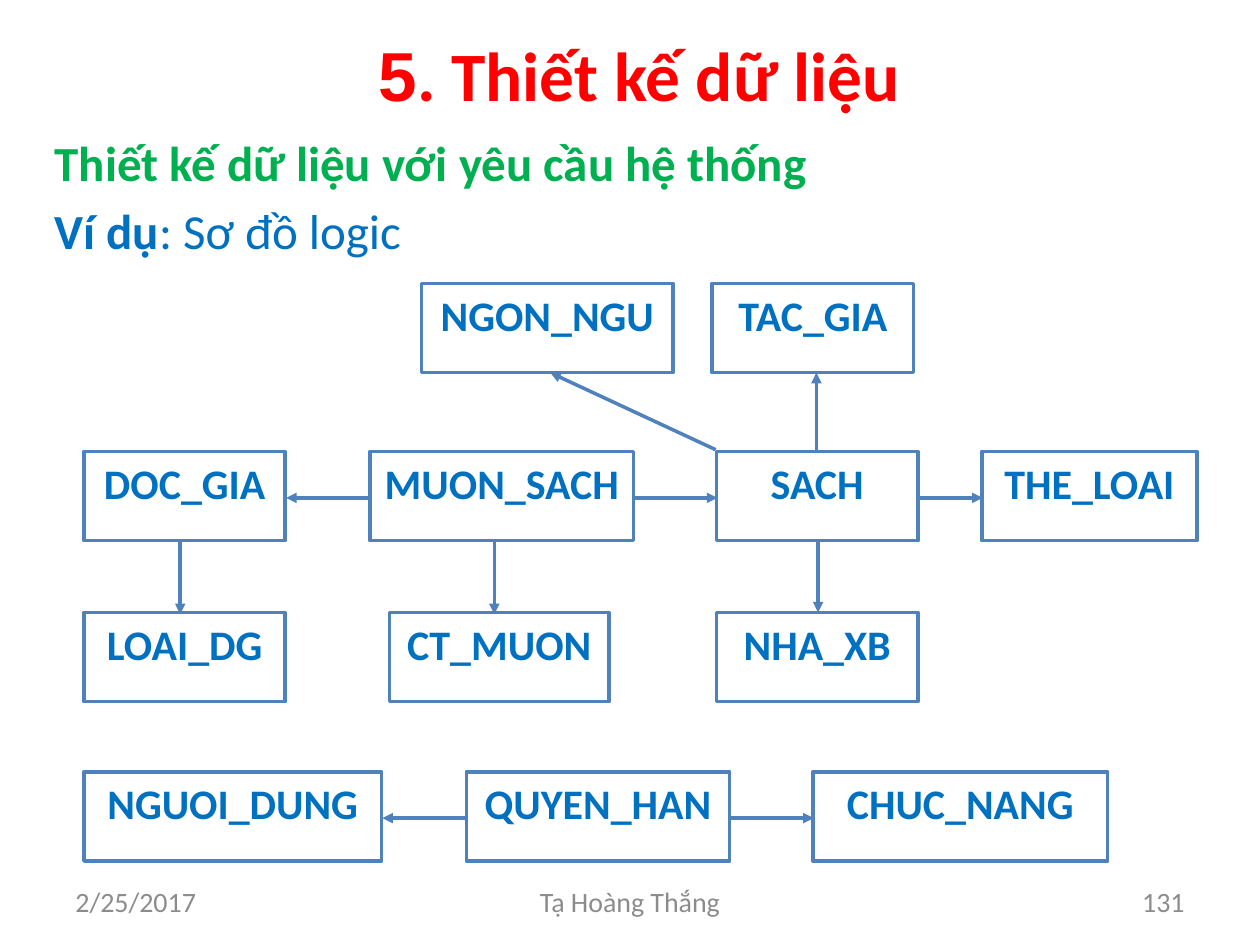
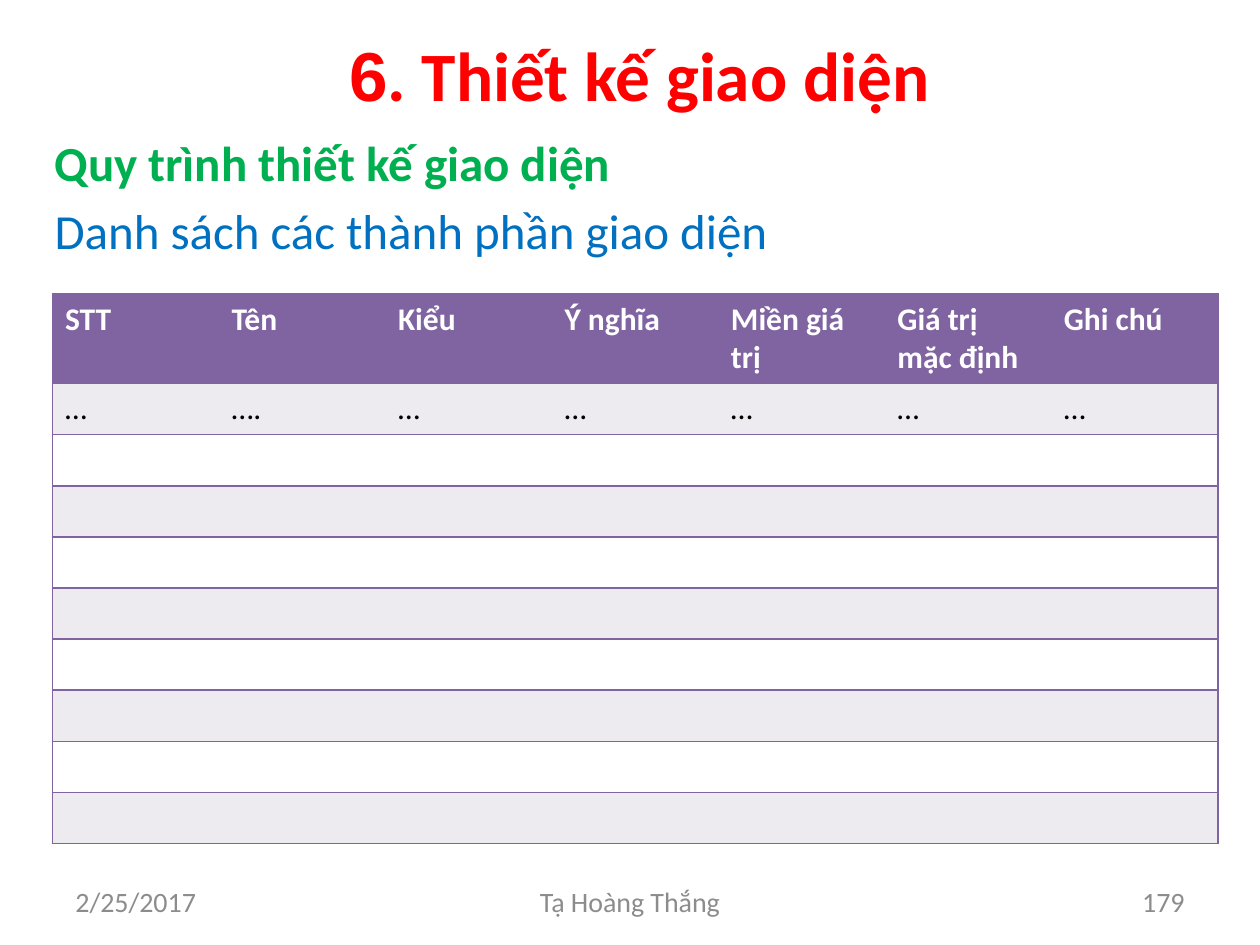
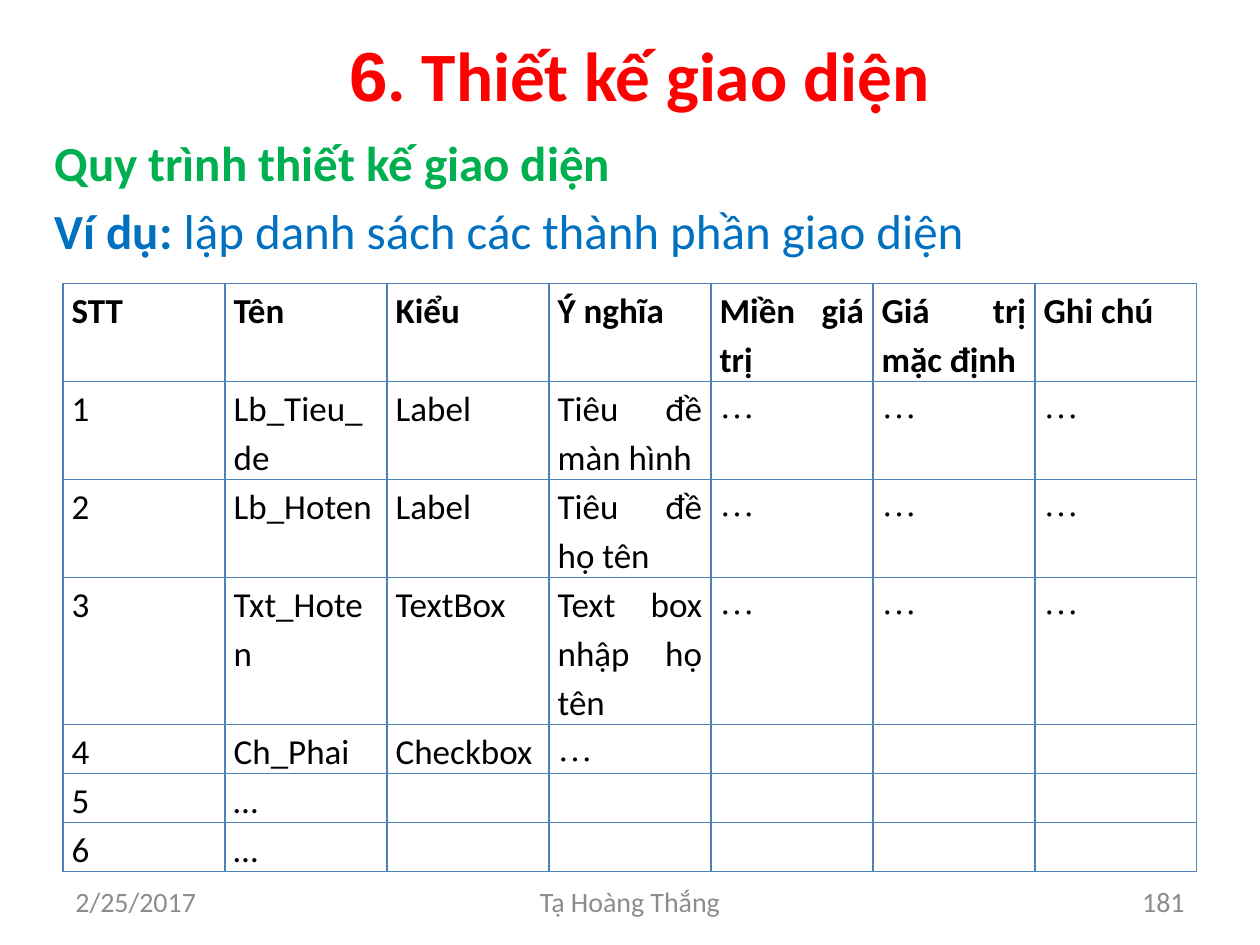
import pptx
import pptx.dml.color
import pptx.enum.shapes
import pptx.enum.text
import pptx.oxml
import pptx.oxml.ns
import pptx.util

Pt = pptx.util.Pt
ALIGN = pptx.enum.text.PP_ALIGN
ANCHOR = pptx.enum.text.MSO_ANCHOR
COLORS = {
    "title": "FF0000", "heading": "00B050", "text": "0070C0", "footer": "8C8C8C",
    "outline": "4F81BD", "purple": "8064A2", "band": "EDEAF0",
    "white": "FFFFFF", "black": "000000",
}
NO_STYLE = "{2D5ABB26-0587-4C30-8999-92F81FD0307C}"


def add_text(p, text, size=28, color="text", bold=False, font="Calibri", align=None):
    """Append one formatted run to paragraph p."""
    if align is not None:
        p.alignment = align
    r = p.add_run()
    r.text = text
    r.font.size = Pt(size)
    r.font.name = font
    r.font.bold = bold
    r.font.color.rgb = pptx.dml.color.RGBColor.from_string(COLORS[color])


def add_borders(cell, sides, color):
    """Draw 1 pt lines on the given sides, named in the order L, R, T, B."""
    tcPr = cell._tc.get_or_add_tcPr()
    for i, side in enumerate(sides):
        tcPr.insert(i, pptx.oxml.parse_xml(
            f'<a:ln{side} {pptx.oxml.ns.nsdecls("a")} w="12700"><a:solidFill>'
            f'<a:srgbClr val="{COLORS[color]}"/></a:solidFill></a:ln{side}>'))


prs = pptx.Presentation()
prs.slide_width, prs.slide_height = Pt(720), Pt(540)

# Title, lead lines and footer of every slide
DATA_TITLE = ("5", ". Thiết kế dữ liệu")
UI_TITLE = ("6", ". Thiết kế giao diện")
UI_HEADING = "Quy trình thiết kế giao diện"
pages = [
    (DATA_TITLE, "Thiết kế dữ liệu với yêu cầu hệ thống",
     [("Ví dụ", True), (": Sơ đồ logic", False)], "131"),
    (UI_TITLE, UI_HEADING, [("Danh sách các thành phần giao diện", False)], "179"),
    (UI_TITLE, UI_HEADING,
     [("Ví dụ:", True), (" lập danh sách các thành phần giao diện", False)], "181"),
]
slides = []
for (number, title), heading, lead, page_number in pages:
    s = prs.slides.add_slide(prs.slide_layouts[0])
    slides.append(s)

    sp = s.shapes.title
    sp.left, sp.top, sp.width, sp.height = Pt(36), Pt(18), Pt(648), Pt(48)
    tf = sp.text_frame
    tf.auto_size = pptx.enum.text.MSO_AUTO_SIZE.NONE
    tf.vertical_anchor = ANCHOR.MIDDLE
    tf.margin_left = Pt(18)
    p = tf.paragraphs[0]
    add_text(p, number, size=39.6, color="title", bold=True, font="Arial", align=ALIGN.CENTER)
    add_text(p, title, size=39.6, color="title", bold=True)

    sp = s.placeholders[1]
    sp.left, sp.top, sp.width, sp.height = Pt(24), Pt(72), Pt(672), Pt(438)
    tf = sp.text_frame
    tf.auto_size = pptx.enum.text.MSO_AUTO_SIZE.NONE
    tf.vertical_anchor = ANCHOR.TOP
    p = tf.paragraphs[0]
    p.space_before = Pt(0)
    add_text(p, heading, color="heading", bold=True, align=ALIGN.LEFT)
    p = tf.add_paragraph()
    p.space_before = Pt(5.6)
    for text, bold in lead:
        add_text(p, text, bold=bold, align=ALIGN.LEFT)

    for text, left, width, align in [
        ("2/25/2017", 36, 168, ALIGN.LEFT),
        ("Tạ Hoàng Thắng", 246, 228, ALIGN.CENTER),
        (page_number, 516, 168, ALIGN.RIGHT),
    ]:
        tf = s.shapes.add_textbox(Pt(left), Pt(500.5), Pt(width), Pt(28.75)).text_frame
        tf.word_wrap = True
        tf.vertical_anchor = ANCHOR.MIDDLE
        add_text(tf.paragraphs[0], text, size=16, color="footer", align=align)

diagram_slide, blank_list_slide, example_slide = slides
outline = pptx.dml.color.RGBColor.from_string(COLORS["outline"])

# Slide 1: logical diagram, entities given as name, left, width in each row
entity_rows = [
    (162, [("NGON_NGU", 241, 143.5), ("TAC_GIA", 407, 115)]),
    (258, [("DOC_GIA", 48, 115), ("MUON_SACH", 211.5, 150.5),
           ("SACH", 409.5, 115), ("THE_LOAI", 561, 123)]),
    (350, [("LOAI_DG", 48, 115), ("CT_MUON", 222.5, 125.5), ("NHA_XB", 409.5, 115)]),
    (441, [("NGUOI_DUNG", 48, 170), ("QUYEN_HAN", 266.5, 150.5), ("CHUC_NANG", 464.5, 168.5)]),
]
for top, entities in entity_rows:
    for name, left, width in entities:
        sp = diagram_slide.shapes.add_shape(
            pptx.enum.shapes.MSO_SHAPE.RECTANGLE, Pt(left), Pt(top), Pt(width), Pt(51))
        sp.shadow.inherit = False
        sp.fill.solid()
        sp.fill.fore_color.rgb = pptx.dml.color.RGBColor.from_string(COLORS["white"])
        sp.line.color.rgb = outline
        sp.line.width = Pt(2)
        sp.text_frame.vertical_anchor = ANCHOR.TOP
        add_text(sp.text_frame.paragraphs[0], name, size=24, bold=True, align=ALIGN.CENTER)

arrows = [
    (409, 257, 314.5, 213), (466.5, 257, 466.5, 213),
    (211.5, 284.5, 163.5, 284.5), (362, 284.5, 410, 284.5), (526, 284.5, 561.5, 284.5),
    (103, 310, 103, 351), (282.5, 310, 282.5, 351), (467.5, 309, 467.5, 350),
    (266.5, 467.5, 218.5, 467.5), (417, 467.5, 465, 467.5),
]
for ends in arrows:
    arrow = diagram_slide.shapes.add_connector(
        pptx.enum.shapes.MSO_CONNECTOR.STRAIGHT, *map(Pt, ends))
    arrow.line.color.rgb = outline
    arrow.line.width = Pt(2)
    ns = pptx.oxml.ns.nsdecls("a")
    arrow.line._get_or_add_ln().append(pptx.oxml.parse_xml(f'<a:tailEnd {ns} type="triangle"/>'))
    arrow._element.spPr.append(pptx.oxml.parse_xml(f"<a:effectLst {ns}/>"))

# Slides 2 and 3: lists of interface components
HEADERS = ["STT", "Tên", "Kiểu", "Ý nghĩa", "Miền giá trị", "Giá trị mặc định", "Ghi chú"]
blank_list = [HEADERS, ["…", "….", "…", "…", "…", "…", "…"]] + [[""] * 7] * 8
example_list = [
    HEADERS,
    ["1", "Lb_Tieu_de", "Label", "Tiêu đề màn hình", "…", "…", "…"],
    ["2", "Lb_Hoten", "Label", "Tiêu đề họ tên", "…", "…", "…"],
    ["3", "Txt_Hoten", "TextBox", "Text box nhập họ tên", "…", "…", "…"],
    ["4", "Ch_Phai", "Checkbox", "…", "", "", ""],
    ["5", "…", "", "", "", "", ""],
    ["6", "…", "", "", "", "", ""],
]
tables = [
    (blank_list_slide, blank_list, 30, 168, 666, [51.2] + [29.2] * 9, True),
    (example_slide, example_list, 36, 162, 648, [28 * n for n in (2, 2, 2, 3, 1, 1, 1)], False),
]
for s, rows, left, top, width, heights, banded in tables:
    frame = s.shapes.add_table(
        len(rows), len(HEADERS), Pt(left), Pt(top), Pt(width), Pt(sum(heights)))
    table = frame.table
    table._tbl.tblPr.find(pptx.oxml.ns.qn("a:tableStyleId")).text = NO_STYLE
    for column in table.columns:
        column.width = Pt(width / len(HEADERS))
    for i, (values, height) in enumerate(zip(rows, heights)):
        table.rows[i].height = Pt(height)
        for j, text in enumerate(values):
            cell = table.cell(i, j)
            p = cell.text_frame.paragraphs[0]
            if banded:
                fill = "purple" if i == 0 else "band" if i % 2 else "white"
                cell.fill.solid()
                cell.fill.fore_color.rgb = pptx.dml.color.RGBColor.from_string(COLORS[fill])
                sides = "LTB" if j == 0 else "RTB" if j == len(HEADERS) - 1 else "TB"
                add_borders(cell, sides, "purple")
                if text:
                    add_text(p, text, size=18, color="black" if i else "white", bold=i == 0)
            else:
                cell.fill.background()
                add_borders(cell, "LRTB", "outline")
                cell.margin_left = cell.margin_right = Pt(5)
                cell.margin_top = cell.margin_bottom = Pt(0)
                p.line_spacing = 1.15
                if text:
                    font = "Times New Roman" if text == "…" and j > 2 else "Calibri"
                    add_text(p, text, size=20, color="black", bold=i == 0, font=font,
                             align=ALIGN.JUSTIFY)

prs.save("out.pptx")
